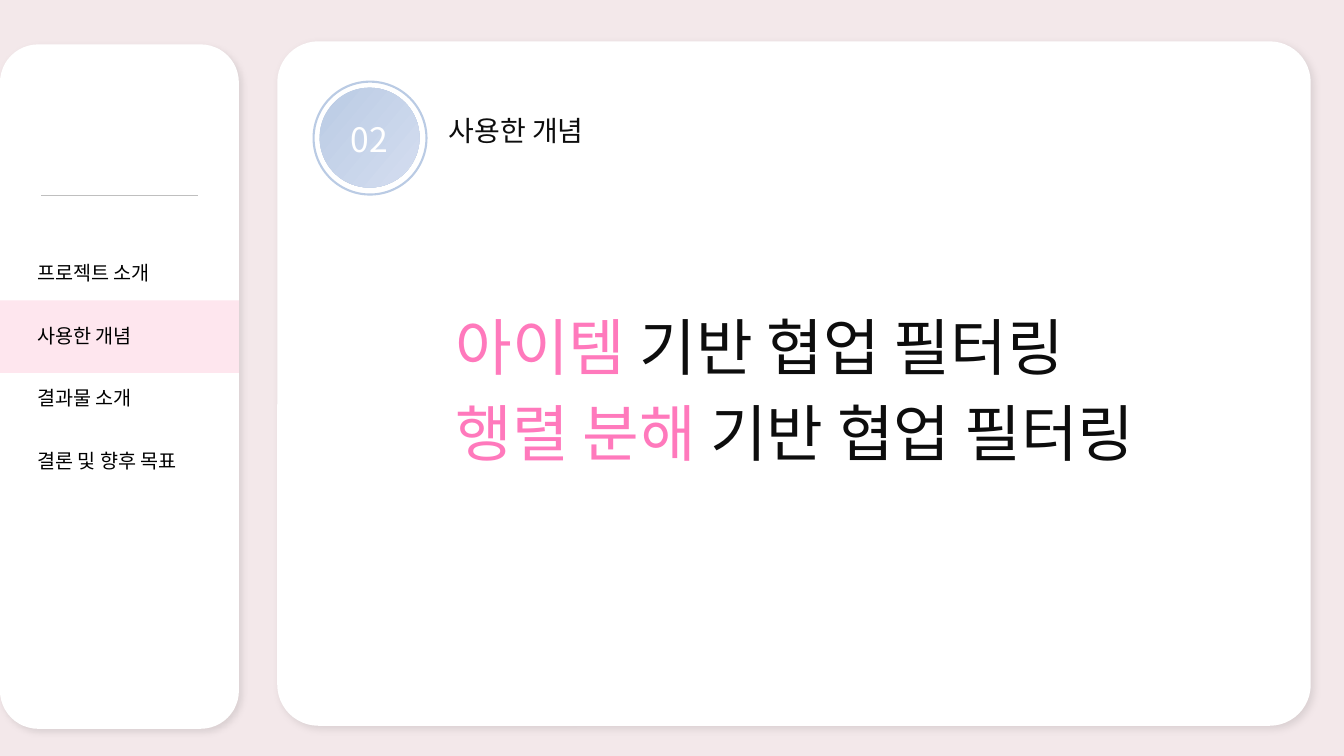
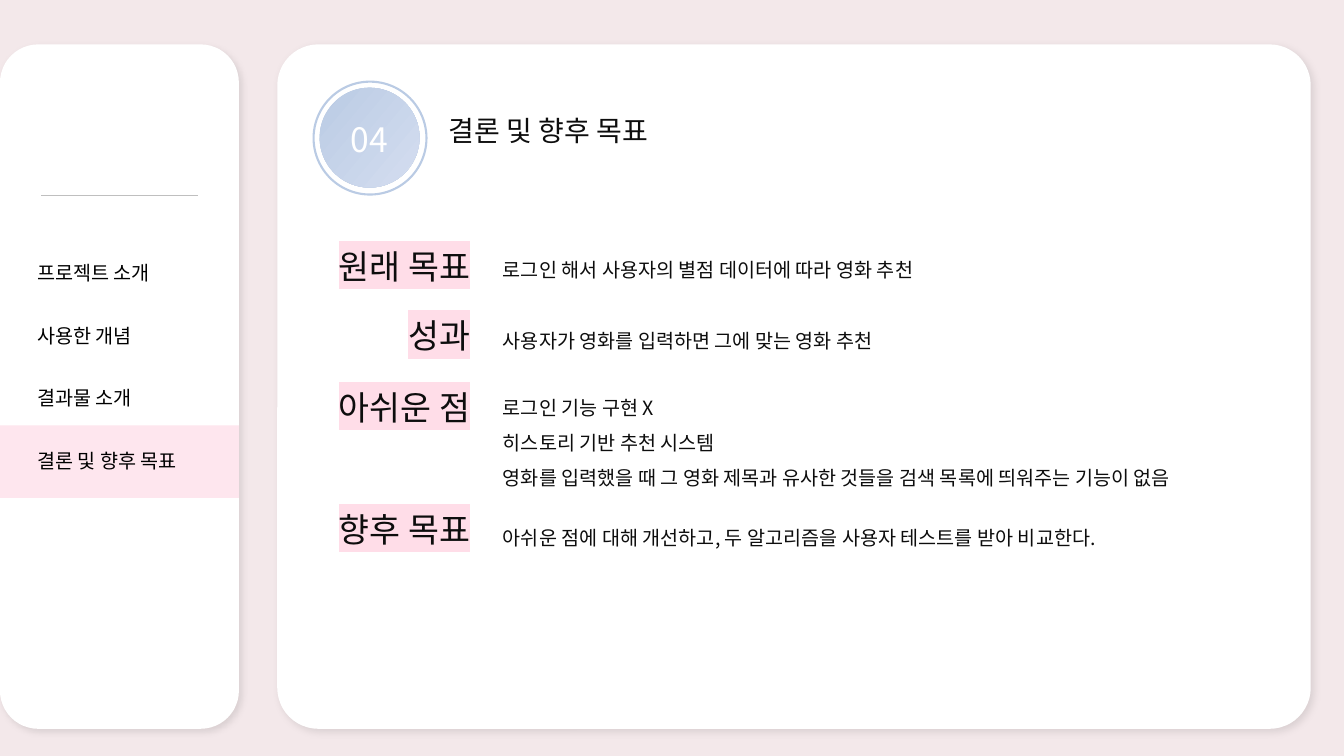
"""Build two project slides that share a side menu and a numbered title."""
from lxml import etree
from pptx import Presentation
from pptx import util as u
from pptx.dml.color import RGBColor
from pptx.enum import shapes, text
from pptx.oxml.ns import qn

PX = 9144
FONT = "Noto Sans CJK KR"
BACKDROP, WHITE, BLACK, INK = "F3E8EA", "FFFFFF", "000000", "0D0D0D"
ACTIVE, MARK, PINK = "FEE6EE", "FFDDE8", "FF79BC"
BLUE, PALE_BLUE, GREY = "BACBE4", "D4DDF0", "BFBFBF"

MENU = ["프로젝트 소개", "사용한 개념", "결과물 소개", "결론 및 향후 목표"]
MENU_TOP, MENU_STEP, MENU_WIDTH = 254, 62, 237
ACTIVE_HEIGHT, ACTIVE_RISE = 72, 18

CONCEPTS = [
    [("아이템", PINK), (" 기반 협업 필터링", INK)],
    [("행렬 분해 ", PINK), ("기반 협업 필터링", INK)],
]
CONCEPT_TOP, CONCEPT_STEP = 302, 85

CONCLUSIONS = [
    ("원래 목표", 239, 239, ["로그인 해서 사용자의 별점 데이터에 따라 영화 추천"]),
    ("성과", 308, 310, ["사용자가 영화를 입력하면 그에 맞는 영화 추천"]),
    ("아쉬운 점", 379, 376, [
        "로그인 기능 구현 X",
        "히스토리 기반 추천 시스템",
        "영화를 입력했을 때 그 영화 제목과 유사한 것들을 검색 목록에 띄워주는 기능이 없음",
    ]),
    ("향후 목표", 500, 505, ["아쉬운 점에 대해 개선하고, 두 알고리즘을 사용자 테스트를 받아 비교한다."]),
]


def rgb(value):
    return RGBColor.from_string(value)


def box(*lengths):
    return [u.Emu(length * PX) for length in lengths]


def add_block(parent, kind, place, fill=None):
    block = parent.add_shape(kind, *box(*place))
    block.shadow.inherit = False
    block.line.fill.background()
    if fill:
        block.fill.solid()
        block.fill.fore_color.rgb = rgb(fill)
    else:
        block.fill.background()
    return block


def add_panel(slide, place, corner):
    panel = add_block(slide.shapes, shapes.MSO_SHAPE.ROUNDED_RECTANGLE, place, WHITE)
    panel.adjustments[0] = corner
    effects = panel._element.spPr.find(qn("a:effectLst"))
    shadow = etree.SubElement(effects, qn("a:outerShdw"), blurRad=str(u.Pt(5)),
                              dist=str(u.Pt(3)), dir=str(45 * 60000),
                              algn="tl", rotWithShape="0")
    tint = etree.SubElement(shadow, qn("a:srgbClr"), val=BLACK)
    etree.SubElement(tint, qn("a:alpha"), val="10000")


def add_text(parent, place, paragraphs, size, align=text.PP_ALIGN.LEFT, spacing=None, mark=None):
    label = parent.add_textbox(*box(*place))
    frame = label.text_frame
    frame.word_wrap = True
    frame.auto_size = text.MSO_AUTO_SIZE.SHAPE_TO_FIT_TEXT
    for index, runs in enumerate(paragraphs):
        paragraph = frame.add_paragraph() if index else frame.paragraphs[0]
        paragraph.alignment = align
        paragraph.line_spacing = spacing
        for words, colour in runs:
            run = paragraph.add_run()
            run.text = words
            run.font.size = u.Pt(size)
            run.font.color.rgb = rgb(colour)
            run.font.name = FONT
            latin = run.font._element.find(qn("a:latin"))
            latin.addnext(etree.Element(qn("a:ea"), typeface=FONT))
            if mark:
                highlight = etree.Element(qn("a:highlight"))
                etree.SubElement(highlight, qn("a:srgbClr"), val=mark)
                latin.addprevious(highlight)


def add_badge(slide, number):
    badge = slide.shapes.add_group_shape().shapes
    disc = add_block(badge, shapes.MSO_SHAPE.OVAL, (317, 87, 99, 99))
    disc.fill.gradient()
    disc.fill.gradient_angle = 320
    for stop, colour, position in zip(disc.fill.gradient_stops, (BLUE, PALE_BLUE), (0, 1)):
        stop.color.rgb = rgb(colour)
        stop.position = position
    ring = add_block(badge, shapes.MSO_SHAPE.OVAL, (311, 81, 112, 112))
    ring.line.color.rgb = rgb(BLUE)
    ring.line.width = u.Pt(1.5)
    add_text(badge, (325, 113, 82, 50), [[(f"{number:02}", WHITE)]], 24, text.PP_ALIGN.CENTER)


def add_section(deck, number, panel_top):
    slide = deck.slides.add_slide(deck.slide_layouts[6])
    slide.background.fill.solid()
    slide.background.fill.fore_color.rgb = rgb(BACKDROP)
    add_panel(slide, (275, panel_top, 1025, 679), 0.06)
    add_panel(slide, (0, 44, MENU_WIDTH, 679), 0.16)
    active_top = MENU_TOP + (number - 1) * MENU_STEP - ACTIVE_RISE
    add_block(slide.shapes, shapes.MSO_SHAPE.RECTANGLE,
              (0, active_top, MENU_WIDTH, ACTIVE_HEIGHT), ACTIVE)
    for index, entry in enumerate(MENU):
        add_text(slide.shapes, (27, MENU_TOP + index * MENU_STEP, 186, 34), [[(entry, BLACK)]], 14)
    rule = slide.shapes.add_connector(shapes.MSO_CONNECTOR.STRAIGHT, *box(41, 194, 196, 194))
    rule.line.color.rgb = rgb(GREY)
    rule.line.width = u.Pt(0.5)
    etree.SubElement(rule._element.spPr, qn("a:effectLst"))
    add_text(slide.shapes, (435, 108, 247, 44), [[(MENU[number - 1], INK)]], 20)
    add_badge(slide, number)
    return slide


def main():
    deck = Presentation()
    deck.slide_width, deck.slide_height = box(1333, 750)

    concepts = add_section(deck, 2, 41)
    for index, runs in enumerate(CONCEPTS):
        top = CONCEPT_TOP + index * CONCEPT_STEP
        add_text(concepts.shapes, (442, top, 880, 84), [runs], 44)

    conclusions = add_section(deck, 4, 44)
    for heading, heading_top, detail_top, details in CONCLUSIONS:
        add_text(conclusions.shapes, (300, heading_top, 176, 50), [[(heading, INK)]], 24,
                 text.PP_ALIGN.RIGHT, mark=MARK)
        add_text(conclusions.shapes, (489, detail_top, 776, 7 + 35 * len(details)),
                 [[(detail, INK)] for detail in details], 14, spacing=1.5)

    deck.save("out.pptx")


if __name__ == "__main__":
    main()
